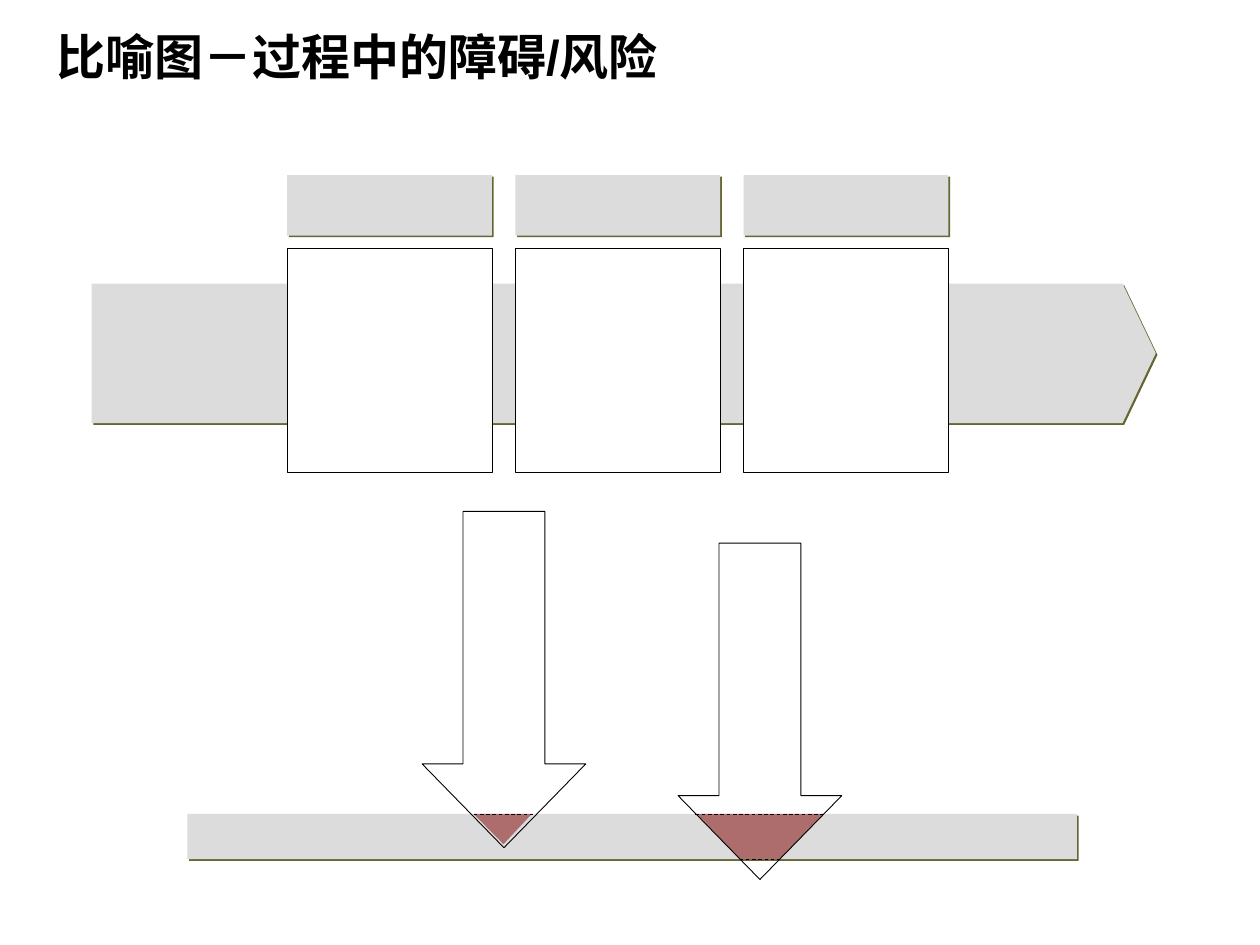
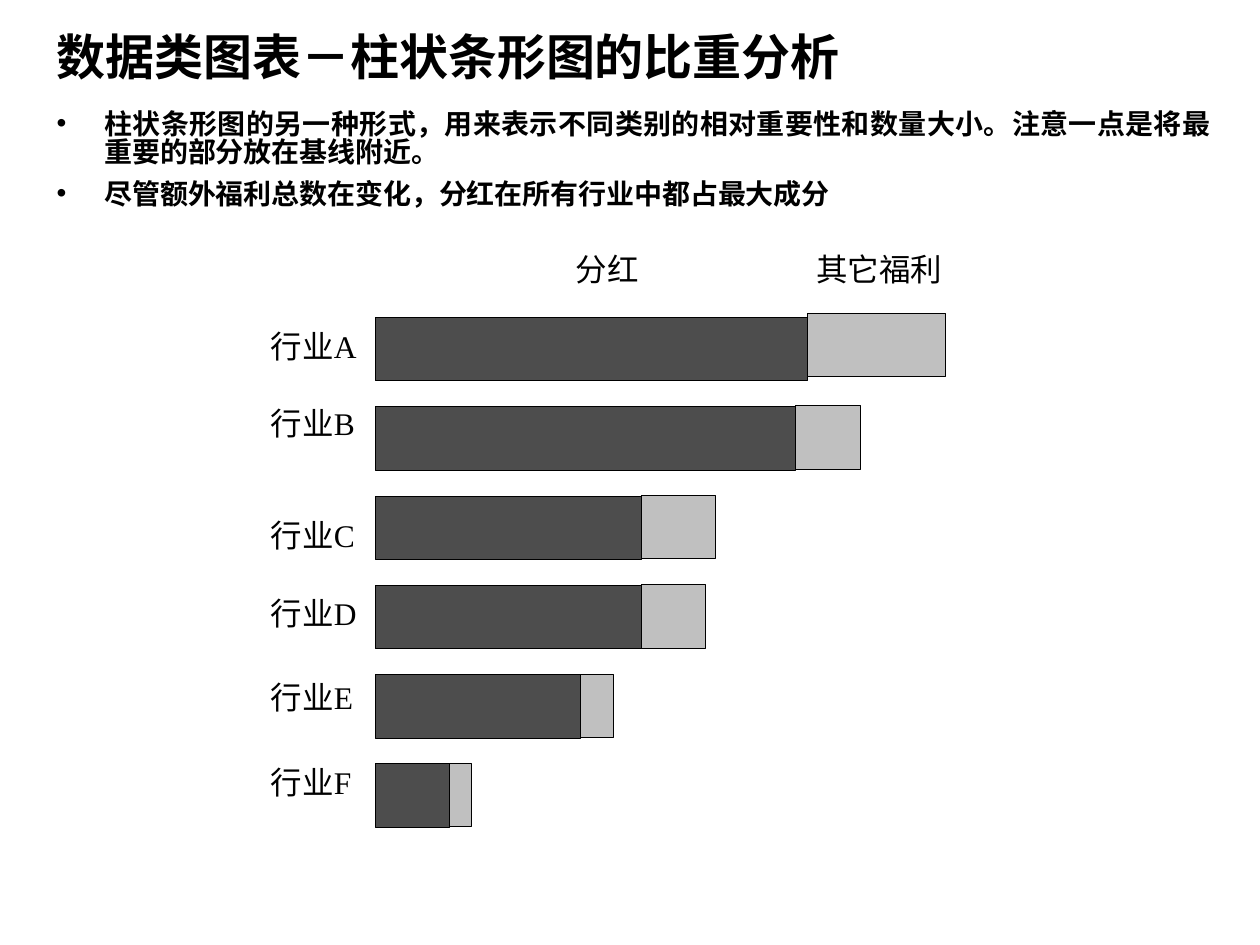
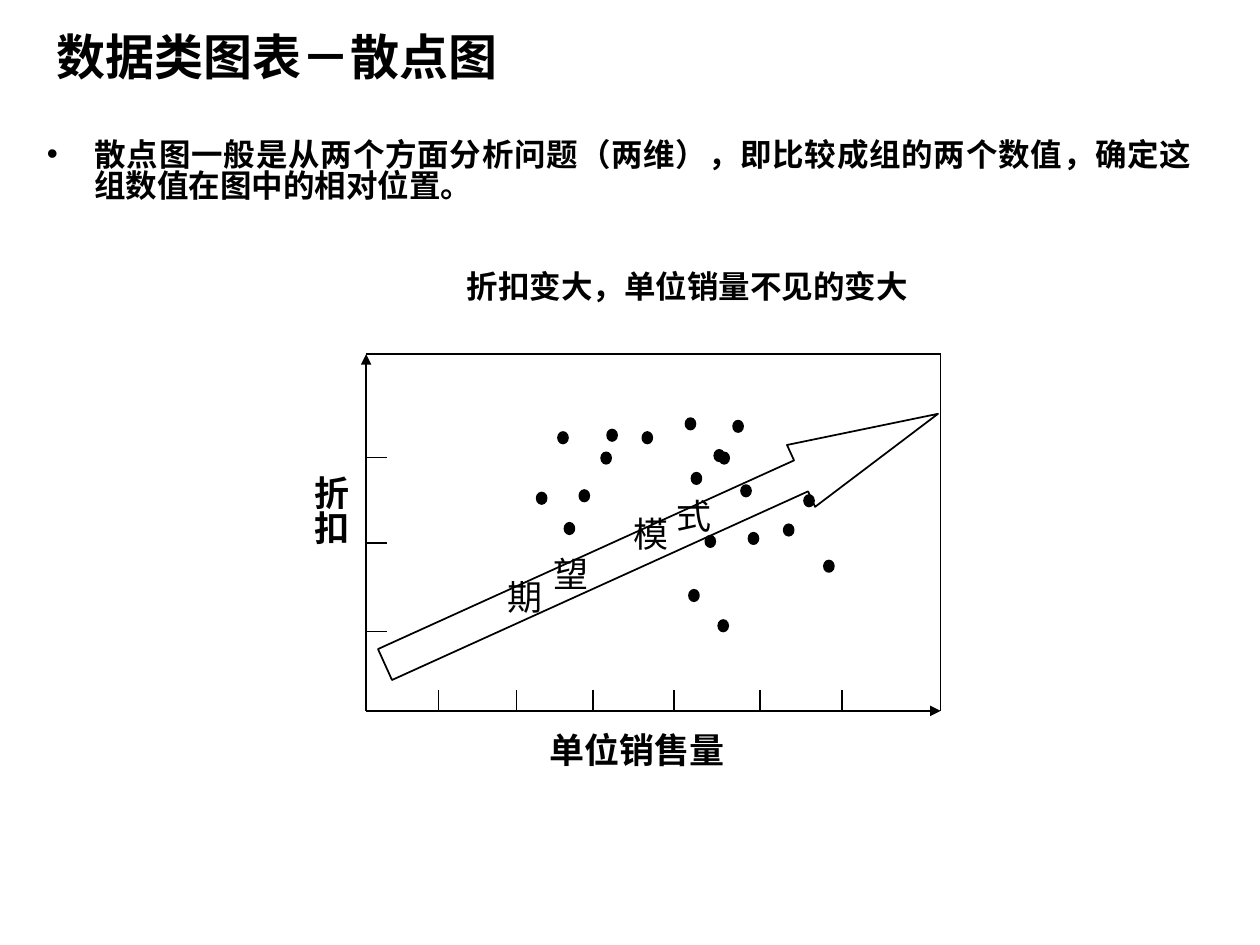
from lxml import etree
from pptx import Presentation
from pptx.dml.color import RGBColor
from pptx.enum.dml import MSO_LINE
from pptx.enum.shapes import MSO_CONNECTOR, MSO_SHAPE
from pptx.enum.text import MSO_ANCHOR, MSO_AUTO_SIZE, PP_ALIGN
from pptx.oxml.ns import qn
from pptx.util import Cm, Pt

# Shared colours, fonts and enum members
BLACK = RGBColor(0x00, 0x00, 0x00)
WHITE = RGBColor(0xFF, 0xFF, 0xFF)
PALE = RGBColor(0xDC, 0xDC, 0xDC)
OLIVE = RGBColor(0x66, 0x66, 0x33)
RED = RGBColor(0x80, 0x00, 0x00)
DARK = RGBColor(0x4D, 0x4D, 0x4D)
LIGHT = RGBColor(0xC0, 0xC0, 0xC0)
SANS, SERIF, HAN = "Arial", "Times New Roman", "Noto Sans CJK SC"
RECT, OVAL = MSO_SHAPE.RECTANGLE, MSO_SHAPE.OVAL
DOWN, UP = MSO_SHAPE.DOWN_ARROW, MSO_SHAPE.UP_ARROW
LEFT, CENTER, JUSTIFY = PP_ALIGN.LEFT, PP_ALIGN.CENTER, PP_ALIGN.JUSTIFY
TOP, MIDDLE = MSO_ANCHOR.TOP, MSO_ANCHOR.MIDDLE
DASH = MSO_LINE.DASH
TITLE_ONLY, TITLE_BODY = 5, 1


def sub(parent, tag, **attrs):
    return etree.SubElement(parent, qn(tag), **attrs)


# Text
def write(para, text, size=18, font=HAN, bold=False, align=JUSTIFY,
          before=0, after=0, lines=0.83):
    para.alignment = align
    para.line_spacing = lines
    para.space_before, para.space_after = Pt(before), Pt(after)
    run = para.add_run()
    run.text = text
    run.font.size, run.font.bold, run.font.name = Pt(size), bold, font
    run.font.color.rgb = BLACK
    sub(run.font._element, "a:ea", typeface=HAN)


def place(shape, x, y, w, h):
    shape.left, shape.top, shape.width, shape.height = map(Cm, (x, y, w, h))


def title(slide, text, font=SANS):
    shape = slide.shapes.title
    place(shape, 0.89, 0.33, 18.62, 1.6)
    frame = shape.text_frame
    frame.auto_size = MSO_AUTO_SIZE.NONE
    frame.vertical_anchor = MIDDLE
    write(frame.paragraphs[0], text, size=28, font=font, bold=True,
          align=LEFT, lines=1)


def body(slide, box):
    shape = slide.placeholders[1]
    place(shape, *box)
    frame = shape.text_frame
    frame.auto_size = MSO_AUTO_SIZE.NONE
    return frame


def indent(para, left, first):
    props = para._p.get_or_add_pPr()
    props.set("marL", str(Cm(left)))
    props.set("indent", str(Cm(first)))
    return props


def bullets(frame, items, size, gap):
    for i, text in enumerate(items):
        para = frame.add_paragraph() if i else frame.paragraphs[0]
        props = indent(para, 0.96, -0.96)
        sub(sub(props, "a:buClr"), "a:srgbClr", val=str(BLACK))
        sub(props, "a:buFont", typeface=SANS)
        sub(props, "a:buChar", char="•")
        write(para, text, size=size, font=SANS, bold=True,
              before=gap if i else 0, after=gap)


def label(slide, text, x, y, w, h, inset=True, anchor=TOP, **style):
    frame = slide.shapes.add_textbox(*map(Cm, (x, y, w, h))).text_frame
    frame.word_wrap = True
    frame.vertical_anchor = anchor
    if not inset:
        frame.margin_left = frame.margin_right = 0
        frame.margin_top = frame.margin_bottom = 0
    write(frame.paragraphs[0], text, **style)


# Shapes and lines
def paint(shape, fill=None, line=None, shade=False, alpha=None):
    shape.shadow.inherit = False
    if fill is None:
        shape.fill.background()
    else:
        shape.fill.solid()
        shape.fill.fore_color.rgb = fill
    if line is None:
        shape.line.fill.background()
    else:
        shape.line.color.rgb = BLACK
        shape.line.width = Pt(line)
    props = shape._element.spPr
    if alpha:
        color = props.find(qn("a:solidFill")).find(qn("a:srgbClr"))
        sub(color, "a:alpha", val=str(alpha * 1000))
    if shade:
        cast = sub(props.find(qn("a:effectLst")), "a:outerShdw", blurRad="0",
                   dist=str(Pt(1.4)), dir="2700000", algn="ctr",
                   rotWithShape="0")
        sub(cast, "a:srgbClr", val=str(OLIVE))


def block(slide, kind, x, y, w, h, adjust=(), turn=0, **look):
    shape = slide.shapes.add_shape(kind, *map(Cm, (x, y, w, h)))
    for i, value in enumerate(adjust):
        shape.adjustments[i] = value
    shape.rotation = turn
    paint(shape, **look)


def outline(slide, points, **look):
    dots = [(Cm(x), Cm(y)) for x, y in points]
    form = slide.shapes.build_freeform(*dots[0], scale=1.0)
    form.add_line_segments(dots[1:], close=True)
    paint(form.convert_to_shape(), **look)


def stroke(slide, x1, y1, x2, y2, width=1.0, dash=None, arrow=False):
    line = slide.shapes.add_connector(MSO_CONNECTOR.STRAIGHT,
                                      *map(Cm, (x1, y1, x2, y2)))
    line.line.color.rgb = BLACK
    line.line.width = Pt(width)
    if dash:
        line.line.dash_style = dash
    props = line._element.spPr
    if arrow:
        sub(props.find(qn("a:ln")), "a:tailEnd", type="triangle",
            w="med", len="med")
    sub(props, "a:effectLst")


# Slide 1: obstacles along a process
def risks(slide):
    title(slide, "比喻图－过程中的障碍/风险")
    outline(slide, [(1.85, 5.72), (22.63, 5.72), (23.3, 7.12),
                    (22.63, 8.53), (1.85, 8.53)], fill=PALE, shade=True)
    for i in range(3):
        x = 5.79 + 4.6 * i
        block(slide, RECT, x, 5, 4.13, 4.52, fill=WHITE, line=0.5)
        block(slide, RECT, x, 3.53, 4.13, 1.22, fill=PALE, shade=True)

    # Barrier and the arrow tips that pierce it
    top, base = 16.41, 17.32
    block(slide, RECT, 3.78, top, 17.93, base - top, fill=PALE, shade=True)
    outline(slide, [(9.55, top), (10.72, top), (10.15, 17.02)],
            fill=RED, alpha=50)
    outline(slide, [(14.05, top), (16.61, top), (15.72, base),
                    (14.91, base)], fill=RED, alpha=50)
    for x1, x2, y in ((9.55, 10.74, top), (14.02, 16.64, top),
                      (14.91, 15.72, base)):
        stroke(slide, x1, y, x2, y, width=0.5, dash=DASH)
    for x, y in ((13.67, 10.95), (8.51, 10.31)):
        block(slide, DOWN, x, y, 3.3, 6.78, adjust=(0.5, 0.512), line=0.5)


# Slide 2: stacked bars by industry
def shares(slide):
    title(slide, "数据类图表－柱状条形图的比重分析")
    bullets(body(slide, (0.89, 2.13, 23.8, 13.72)), [
        "柱状条形图的另一种形式，用来表示不同类别的相对重要性和数量大小。"
        "注意一点是将最重要的部分放在基线附近。",
        "尽管额外福利总数在变化，分红在所有行业中都占最大成分",
    ], size=16, gap=4)

    style = dict(inset=False, anchor=MIDDLE, font=SERIF)
    for text, x in (("分红", 11.61), ("其它福利", 16.46)):
        label(slide, text, x, 4.93, 3.02, 1.12, **style)

    # Name, label top, bonus width, other width, top of the other part
    rows = [("A", 6.61, 8.71, 2.79, 6.32), ("B", 8.17, 8.46, 1.32, 8.18),
            ("C", 10.42, 5.36, 1.5, 9.98), ("D", 11.99, 5.36, 1.3, 11.79),
            ("E", 13.69, 4.14, 0.66, 13.59), ("F", 15.39, 1.5, 0.43, 15.39)]
    base, high = 7.57, 1.28
    for i, (name, y, bonus, other, top) in enumerate(rows):
        block(slide, RECT, base, 6.4 + 1.8 * i, bonus, high,
              fill=DARK, line=0.5)
        block(slide, RECT, base + bonus, top, other, high,
              fill=LIGHT, line=0.5)
        label(slide, "行业" + name, 5.46, y, 2.24, 0.86, **style)


# Slide 3: scatter of discount against unit sales
def scatter(slide):
    title(slide, "数据类图表－散点图", font=HAN)
    frame = body(slide, (0.69, 2.72, 23.6, 14.6))
    bullets(frame, ["散点图一般是从两个方面分析问题（两维），即比较成组的两个数值，"
                    "确定这组数值在图中的相对位置。"], size=18, gap=4.5)
    para = frame.add_paragraph()
    sub(indent(para, 2.72, 0), "a:buNone")
    write(para, "折扣变大，单位销量不见的变大", font=SANS, bold=True,
          align=CENTER, before=35)

    # Axes, frame and ticks
    left, right, top, base = 7.38, 18.96, 7.14, 14.33
    stroke(slide, left, base, right, base, arrow=True)
    stroke(slide, left, base, left, top, arrow=True)
    stroke(slide, left, top, right, top)
    stroke(slide, right, top, right, base)
    for x in (8.84, 10.41, 11.96, 13.59, 15.32, 16.97):
        stroke(slide, x, base - 0.42, x, base)
    for y in (9.22, 10.95, 12.73):
        stroke(slide, left, y, left + 0.42, y)

    # Expected trend
    block(slide, UP, 12.65, 4.75, 1.37, 12.24, adjust=(0.5, 2.213),
          turn=65.6, fill=WHITE, line=1)
    label(slide, "单位销售量", 10.82, 14.71, 5.16, 1.6, size=20, bold=True)
    label(slide, "折扣", 6.1, 9.53, 1.3, 2, size=20, bold=True)

    # Data points
    dots = [(14.5, 9.12), (16.21, 9.98), (10.82, 9.93), (14.78, 8.48),
            (14.22, 10.8), (12.24, 8.66), (13.94, 9.53), (14.94, 9.78),
            (15.8, 10.57), (13.82, 8.43), (14.4, 9.07), (12.12, 9.12),
            (16.61, 11.3), (15.09, 10.74), (11.38, 10.54), (13.89, 11.89),
            (14.48, 12.5), (11.68, 9.88), (11.25, 8.71), (12.95, 8.71)]
    for x, y in dots:
        block(slide, OVAL, x, y, 0.2, 0.23, fill=BLACK, line=1)
    for sign, x, y in (("式", 13.39, 9.98), ("模", 12.52, 10.36),
                       ("望", 10.9, 11.15), ("期", 9.98, 11.63)):
        label(slide, sign, x, y, 1.3, 1.19, size=20)


def main():
    deck = Presentation()
    deck.slide_width, deck.slide_height = Cm(25.4), Cm(19.05)
    for layout, fill in ((TITLE_ONLY, risks), (TITLE_BODY, shares),
                         (TITLE_BODY, scatter)):
        fill(deck.slides.add_slide(deck.slide_layouts[layout]))
    deck.save("out.pptx")


if __name__ == "__main__":
    main()
